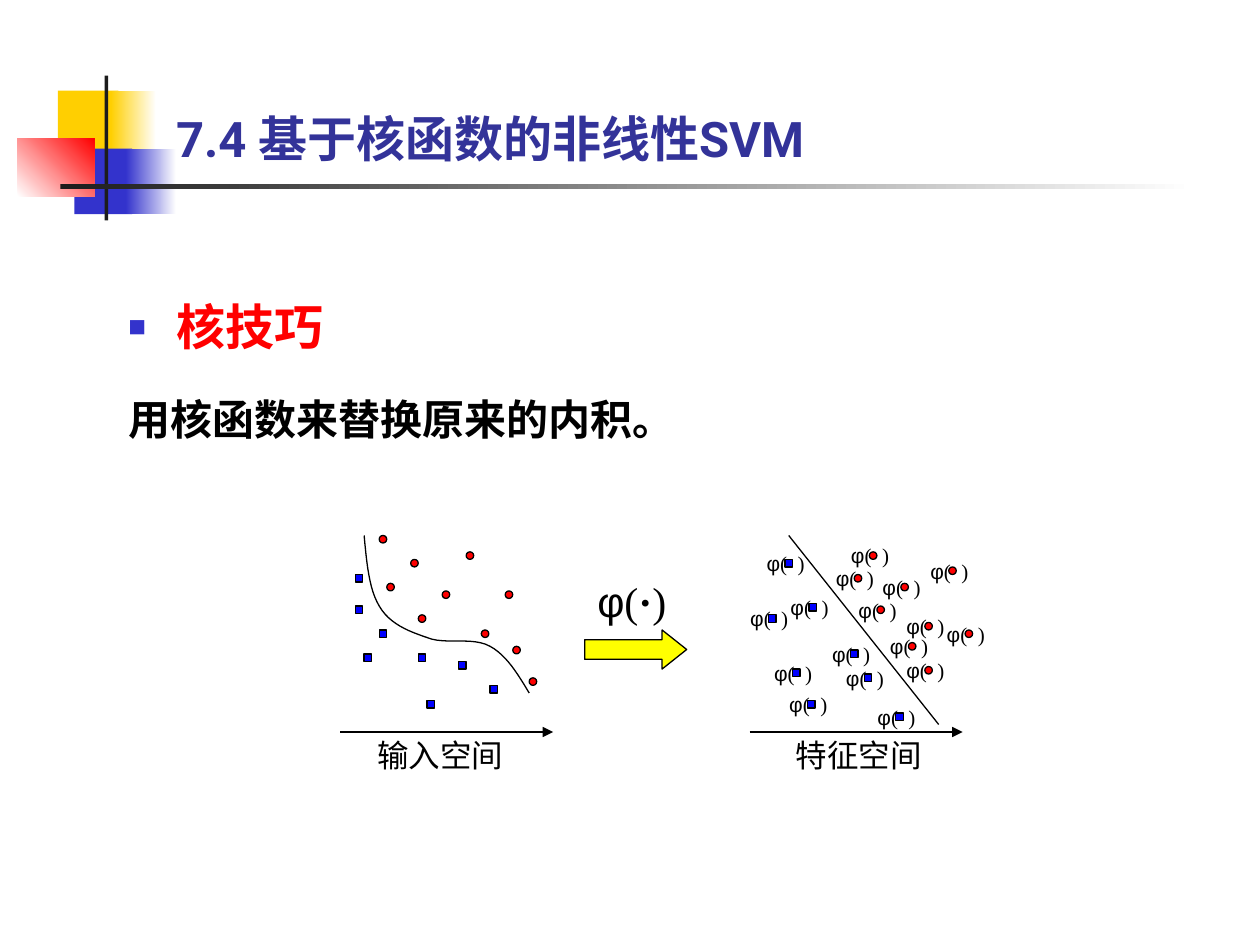
import dataclasses

import pptx
import pptx.dml.color
import pptx.enum.shapes
import pptx.enum.text
import pptx.oxml
import pptx.oxml.ns
import pptx.util
from pptx.util import Inches

Shape = pptx.enum.shapes.MSO_SHAPE
Anchor = pptx.enum.text.MSO_ANCHOR
Align = pptx.enum.text.PP_ALIGN


@dataclasses.dataclass(frozen=True)
class Theme:
    yellow: str = "FFCF01"
    blue: str = "3333CC"
    red: str = "FF0000"
    white: str = "FFFFFF"
    bar: str = "1C1C1C"
    title: str = "333399"
    ink: str = "000000"
    square: str = "0000FF"
    arrow: str = "FFFF00"
    heading_size: int = 28
    body_size: int = 24
    axis_size: int = 18
    point_size: int = 12
    line_width: float = 0.75
    sans: str = "Roboto"
    serif: str = "Times New Roman"
    symbol: str = "Arial"


def rgb(color):
    return pptx.dml.color.RGBColor.from_string(color)


def drawing_element(tag, **attributes):
    element = pptx.oxml.parse_xml(f"<a:{tag} {pptx.oxml.ns.nsdecls('a')}/>")
    for name, value in attributes.items():
        element.set(name, value)
    return element


def curve_points(start, segments, steps=12):
    """Sample a chain of cubic Bezier segments."""
    points = [start]
    for segment in segments:
        controls = (points[-1], *segment)
        for step in range(1, steps + 1):
            t = step / steps
            weights = ((1 - t) ** 3, 3 * t * (1 - t) ** 2, 3 * t * t * (1 - t), t ** 3)
            points.append(tuple(
                sum(weight * control[axis] for weight, control in zip(weights, controls))
                for axis in (0, 1)))
    return points


class SlideBuilder:
    marker_size = 0.06

    def __init__(self, slide, theme):
        self.slide = slide
        self.theme = theme

    def outline(self, line):
        line.color.rgb = rgb(self.theme.ink)
        line.width = pptx.util.Pt(self.theme.line_width)

    def shape(self, kind, box, fill, outlined=False, angle=0):
        """Add a preset shape; a pair of colours as fill makes a gradient."""
        shape = self.slide.shapes.add_shape(kind, *map(Inches, box))
        shape.shadow.inherit = False
        if isinstance(fill, tuple):
            shape.fill.gradient()
            shape.fill.gradient_angle = angle
            for stop, color in zip(shape.fill.gradient_stops, fill):
                stop.color.rgb = rgb(color)
        else:
            shape.fill.solid()
            shape.fill.fore_color.rgb = rgb(fill)
        if outlined:
            self.outline(shape.line)
        else:
            shape.line.fill.background()
        return shape

    def line(self, start, end, arrow=False):
        connector = self.slide.shapes.add_connector(
            pptx.enum.shapes.MSO_CONNECTOR.STRAIGHT, *map(Inches, (*start, *end)))
        self.outline(connector.line)
        if arrow:
            connector.line._get_or_add_ln().append(drawing_element("tailEnd", type="triangle"))
        connector._element.spPr.append(drawing_element("effectLst"))

    def curve(self, start, segments):
        points = [tuple(map(Inches, point)) for point in curve_points(start, segments)]
        builder = self.slide.shapes.build_freeform(*points[0])
        builder.add_line_segments(points[1:], close=False)
        shape = builder.convert_to_shape()
        shape.shadow.inherit = False
        shape.fill.background()
        self.outline(shape.line)

    def text_box(self, box, wrap=True, anchor=Anchor.TOP):
        text_frame = self.slide.shapes.add_textbox(*map(Inches, box)).text_frame
        text_frame.word_wrap = wrap
        text_frame.vertical_anchor = anchor
        return text_frame

    def run(self, paragraph, text, size, font, color, bold=False):
        run = paragraph.add_run()
        run.text = text
        run.font.size = pptx.util.Pt(size)
        run.font.name = font
        run.font.color.rgb = rgb(color)
        run.font.bold = bold

    def centered(self, box, size, *parts):
        """Add a one-line centred label from (text, font, bold) parts."""
        text_frame = self.text_box(box, wrap=False)
        text_frame.margin_left = text_frame.margin_right = 0
        paragraph = text_frame.paragraphs[0]
        paragraph.alignment = Align.CENTER
        for text, font, bold in parts:
            self.run(paragraph, text, size, font, self.theme.ink, bold)

    def title(self, box, text):
        paragraph = self.text_box(box, anchor=Anchor.BOTTOM).paragraphs[0]
        self.run(paragraph, text, self.theme.heading_size, self.theme.sans,
                 self.theme.title, bold=True)

    def body(self, box, heading, sentence):
        theme = self.theme
        text_frame = self.text_box(box)
        first, second = text_frame.paragraphs[0], text_frame.add_paragraph()
        for paragraph in (first, second):
            properties = paragraph._p.get_or_add_pPr()
            properties.set("marL", str(Inches(0.38)))
            properties.set("indent", str(-Inches(0.38)))
            paragraph.line_spacing = 1.5
        bullet_color = drawing_element("buClr")
        bullet_color.append(drawing_element("srgbClr", val=theme.blue))
        first._p.pPr.extend([
            bullet_color,
            drawing_element("buSzPct", val="60000"),
            drawing_element("buFont", typeface=theme.symbol),
            drawing_element("buChar", char="■")])
        second.space_before = pptx.util.Pt(7.5)
        self.run(first, heading, theme.heading_size, theme.sans, theme.red, bold=True)
        self.run(second, sentence, theme.body_size, theme.serif, theme.ink, bold=True)

    def points(self, kind, color, positions, mapped=False):
        """Add data points; mapped ones each sit inside φ( )."""
        for left, top in positions:
            self.shape(kind, (left, top, self.marker_size, self.marker_size), color, outlined=True)
            if mapped:
                self.centered((left - 0.21, top - 0.12, 0.43, 0.28), self.theme.point_size,
                              ("φ", self.theme.symbol, False), ("(  )", self.theme.serif, False))

    def axis(self, left, label_left, label):
        self.line((left, 5.81), (left + 1.69, 5.81), arrow=True)
        self.centered((label_left, 5.79, 1.15, 0.37), self.theme.axis_size,
                      (label, self.theme.serif, False))


def main():
    presentation = pptx.Presentation()
    presentation.slide_width, presentation.slide_height = Inches(10), Inches(7.5)
    theme = Theme()
    builder = SlideBuilder(presentation.slides.add_slide(presentation.slide_layouts[6]), theme)

    for box, fill, angle in (
        ((0.46, 0.72, 0.48, 0.52), theme.yellow, 0),
        ((0.88, 0.72, 0.36, 0.52), (theme.yellow, theme.white), 0),
        ((0.59, 1.18, 0.46, 0.52), theme.blue, 0),
        ((1, 1.18, 0.4, 0.52), (theme.blue, theme.white), 0),
        ((0.14, 1.1, 0.61, 0.46), (theme.white, theme.red), 45),
        ((0.83, 0.6, 0.03, 1.15), theme.bar, 0),
        ((0.48, 1.46, 9, 0.04), (theme.bar, theme.white), 0),
    ):
        builder.shape(Shape.RECTANGLE, box, fill, angle=angle)

    builder.title((1.3, 0.8, 6.22, 0.58), "7.4 基于核函数的非线性SVM")
    builder.body((0.92, 2.07, 5.09, 1.51), "核技巧", "用核函数来替换原来的内积。")

    mapping_arrow = builder.shape(Shape.RIGHT_ARROW, (4.64, 5, 0.81, 0.31), theme.arrow, outlined=True)
    mapping_arrow.adjustments[1] = 0.63
    builder.centered((4.7, 4.52, 0.63, 0.48), theme.body_size, ("φ", theme.symbol, False),
                     ("(", theme.serif, False), ("·", theme.serif, True), (")", theme.serif, False))

    builder.axis(5.95, 6.24, "特征空间")
    builder.line((6.26, 4.25), (7.45, 5.75))
    builder.points(Shape.RECTANGLE, theme.square, (
        (6.23, 4.44), (6.42, 4.79), (6.75, 5.16), (6.86, 5.35),
        (6.29, 5.31), (6.1, 4.88), (7.11, 5.66), (6.41, 5.56)), mapped=True)
    builder.points(Shape.OVAL, theme.red, (
        (7.15, 4.63), (6.96, 4.81), (6.78, 4.56), (6.9, 4.38), (7.34, 5.29),
        (7.53, 4.5), (7.34, 4.94), (7.21, 5.1), (7.66, 5)), mapped=True)

    builder.curve((2.89, 4.25), (
        ((2.91, 4.47), (2.93, 4.68), (3.01, 4.81)),
        ((3.09, 4.95), (3.24, 5.01), (3.39, 5.06)),
        ((3.53, 5.12), (3.75, 5.05), (3.89, 5.13)),
        ((4.02, 5.2), (4.11, 5.35), (4.2, 5.5))))
    builder.axis(2.7, 2.92, "输入空间")
    builder.points(Shape.OVAL, theme.red, (
        (3.01, 4.25), (3.26, 4.44), (3.51, 4.69), (3.7, 4.38), (4.01, 4.69),
        (3.07, 4.63), (3.32, 4.88), (3.82, 5), (4.07, 5.13), (4.2, 5.38)))
    builder.points(Shape.RECTANGLE, theme.square, (
        (2.82, 4.56), (2.82, 4.81), (3.01, 5), (2.89, 5.19),
        (3.32, 5.19), (3.64, 5.25), (3.89, 5.44), (3.39, 5.56)))

    presentation.save("out.pptx")


if __name__ == "__main__":
    main()
